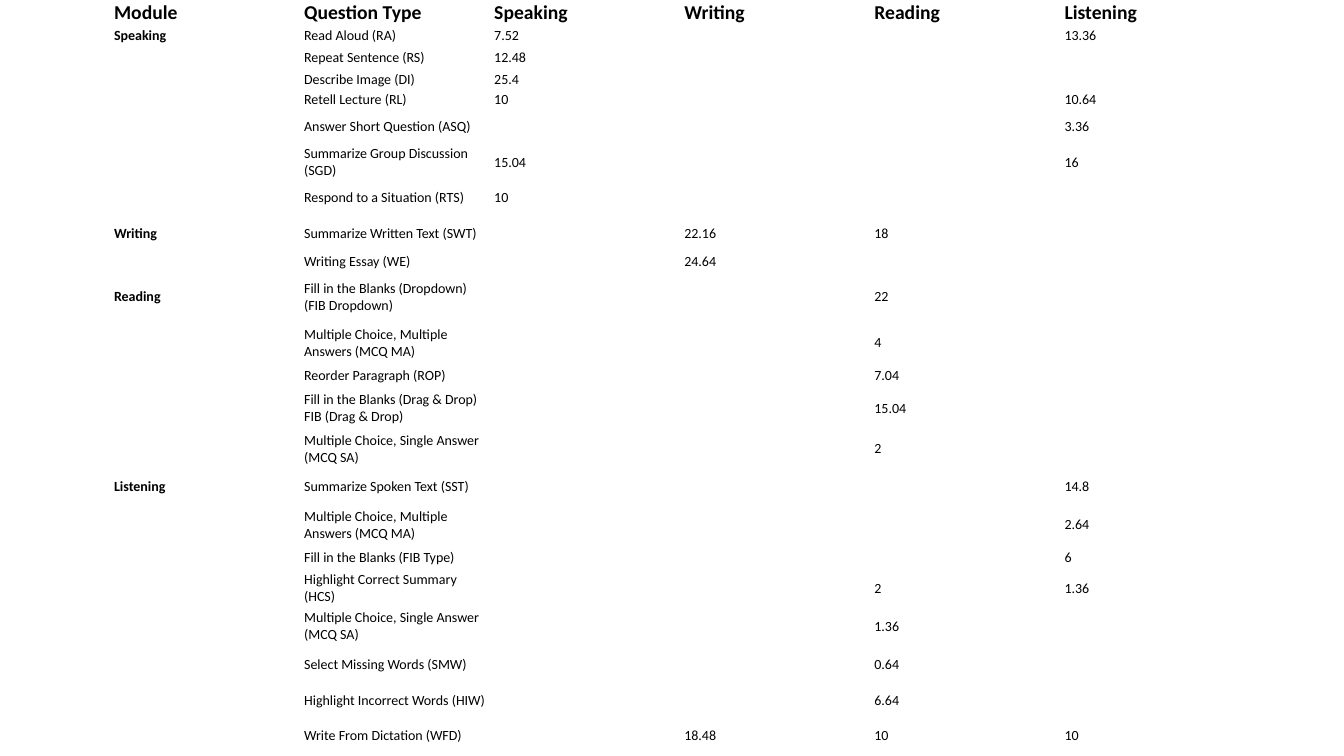
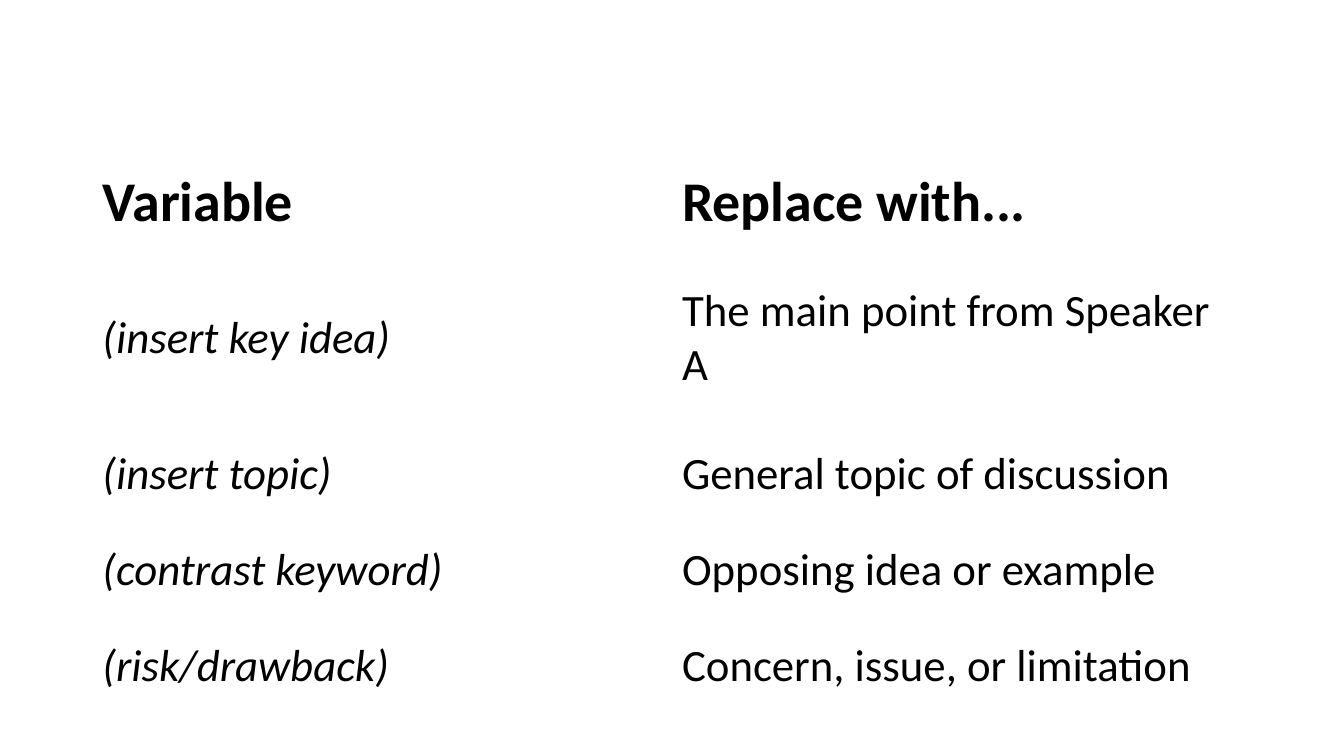
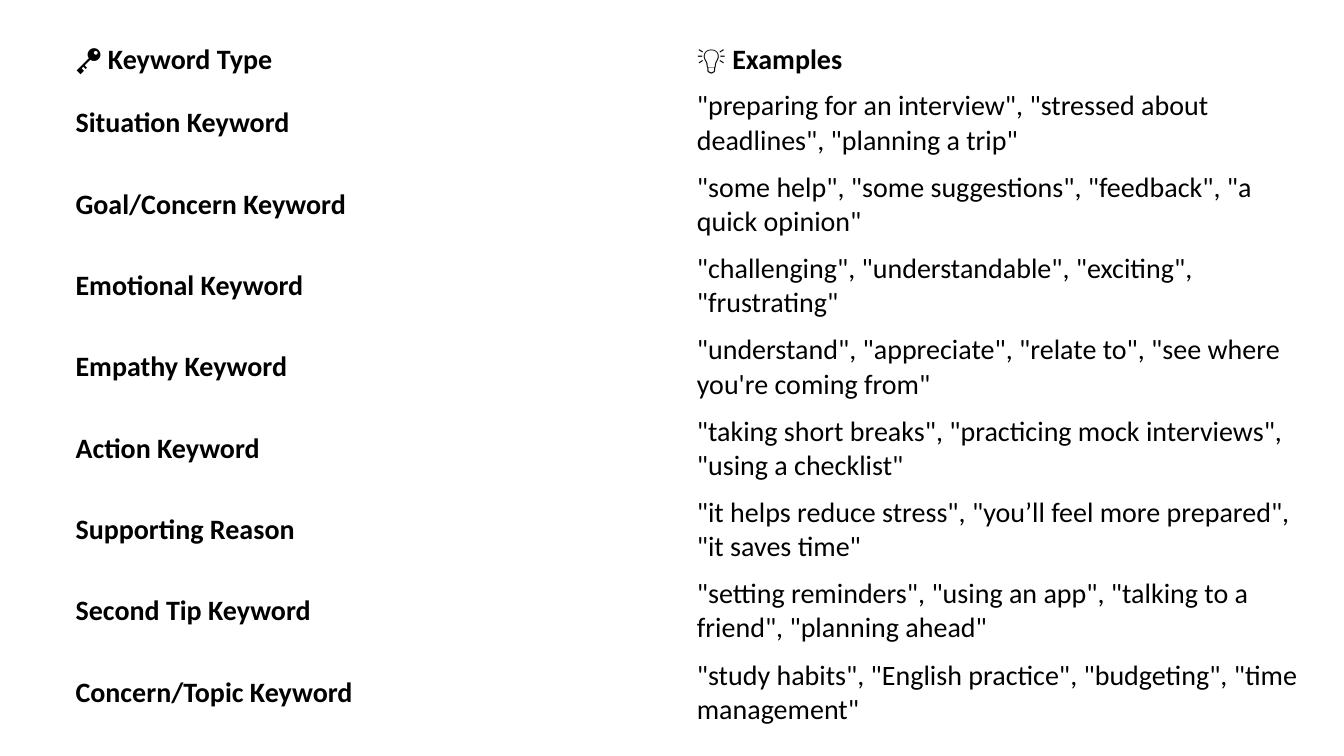
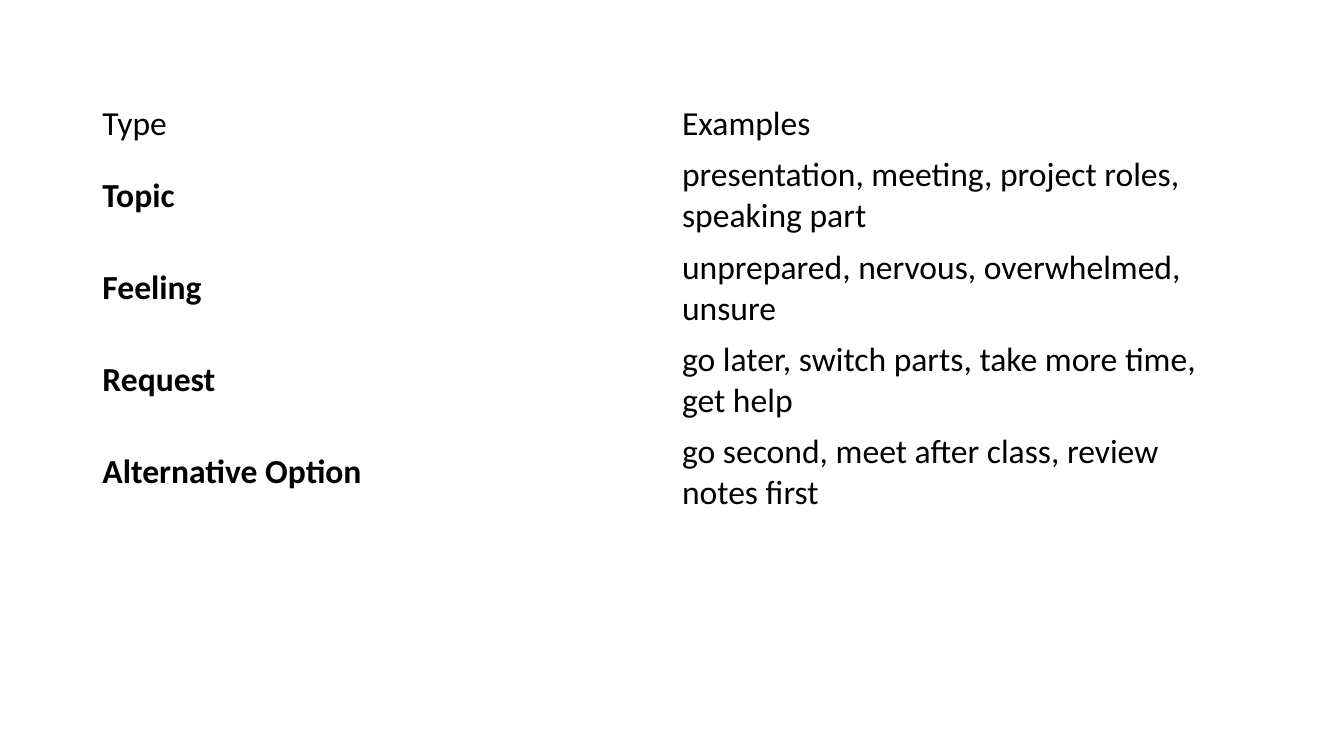
from dataclasses import dataclass

from lxml import etree
from pptx import Presentation
from pptx.dml.color import RGBColor
from pptx.enum.text import MSO_ANCHOR
from pptx.oxml.ns import qn
from pptx.util import Pt

MIDDLE = MSO_ANCHOR.MIDDLE


@dataclass(frozen=True)
class Theme:
    font: str = "Calibri"
    ink: RGBColor = RGBColor(0, 0, 0)
    score_header: int = 14
    score_body: int = 10
    variable_header: int = 40
    variable_body: int = 32
    keyword: int = 20
    request: int = 24


THEME = Theme()
PLAIN, BOLD, ITALIC = (False, False), (True, False), (False, True)
BLANK_LAYOUT = 6

SCORE_ROWS = [
    ("Module", "Question Type", "Speaking", "Writing", "Reading", "Listening"),
    ("Speaking", "Read Aloud (RA)", "7.52", "", "", "13.36"),
    ("", "Repeat Sentence (RS)", "12.48", "", "", ""),
    ("", "Describe Image (DI)", "25.4", "", "", ""),
    ("", "Retell Lecture (RL)", "10", "", "", "10.64"),
    ("", "Answer Short Question (ASQ)", "", "", "", "3.36"),
    ("", "Summarize Group Discussion (SGD)", "15.04", "", "", "16"),
    ("", "Respond to a Situation (RTS)", "10", "", "", ""),
    ("Writing", "Summarize Written Text (SWT)", "", "22.16", "18", ""),
    ("", "Writing Essay (WE)", "", "24.64", "", ""),
    ("Reading", "Fill in the Blanks (Dropdown) (FIB Dropdown)", "", "", "22", ""),
    ("", "Multiple Choice, Multiple Answers (MCQ MA)", "", "", "4", ""),
    ("", "Reorder Paragraph (ROP)", "", "", "7.04", ""),
    ("", "Fill in the Blanks (Drag & Drop) FIB (Drag & Drop)", "", "", "15.04", ""),
    ("", "Multiple Choice, Single Answer (MCQ SA)", "", "", "2", ""),
    ("Listening", "Summarize Spoken Text (SST)", "", "", "", "14.8"),
    ("", "Multiple Choice, Multiple Answers (MCQ MA)", "", "", "", "2.64"),
    ("", "Fill in the Blanks (FIB Type)", "", "", "", "6"),
    ("", "Highlight Correct Summary (HCS)", "", "", "2", "1.36"),
    ("", "Multiple Choice, Single Answer (MCQ SA)", "", "", "1.36", ""),
    ("", "Select Missing Words (SMW)", "", "", "0.64", ""),
    ("", "Highlight Incorrect Words (HIW)", "", "", "6.64", ""),
    ("", "Write From Dictation (WFD)", "", "18.48", "10", "10"),
]
SCORE_HEIGHTS = [
    18.7, 13.7, 18, 13.7, 13.7, 25.3, 25.9, 25.3, 25.9, 13.7, 36.7, 28.9,
    18, 28.9, 28.9, 25.3, 28.9, 18, 25.9, 28.9, 25.3, 25.9, 25.3,
]

VARIABLE_ROWS = [
    ("Variable", "Replace with..."),
    ("(insert key idea)", "The main point from Speaker A"),
    ("(insert topic)", "General topic of discussion"),
    ("(contrast keyword)", "Opposing idea or example"),
    ("(risk/drawback)", "Concern, issue, or limitation"),
]

KEYWORD_ROWS = [
    (("🔑 ", "Keyword Type"), ("💡 ", "Examples")),
    ("Situation Keyword", '"preparing for an interview", "stressed about deadlines", "planning a trip"'),
    ("Goal/Concern Keyword", '"some help", "some suggestions", "feedback", "a quick opinion"'),
    ("Emotional Keyword", '"challenging", "understandable", "exciting", "frustrating"'),
    ("Empathy Keyword", '"understand", "appreciate", "relate to", "see where you\'re coming from"'),
    ("Action Keyword", '"taking short breaks", "practicing mock interviews", "using a checklist"'),
    ("Supporting Reason", '"it helps reduce stress", "you’ll feel more prepared", "it saves time"'),
    ("Second Tip Keyword", '"setting reminders", "using an app", "talking to a friend", "planning ahead"'),
    ("Concern/Topic Keyword", '"study habits", "English practice", "budgeting", "time management"'),
]

REQUEST_ROWS = [
    ("Type", "Examples"),
    ("Topic", "presentation, meeting, project roles, speaking part"),
    ("Feeling", "unprepared, nervous, overwhelmed, unsure"),
    ("Request", "go later, switch parts, take more time, get help"),
    ("Alternative Option", "go second, meet after class, review notes first"),
]

TABLES = [
    dict(rows=SCORE_ROWS, heights=SCORE_HEIGHTS, left=80, top=0, column=135.8,
         insets=(1.5, 0.7), sizes=(THEME.score_header, THEME.score_body),
         header=BOLD, label=BOLD),
    dict(rows=VARIABLE_ROWS, heights=[68.4, 126] + [68.4] * 3, left=66, top=110.2,
         column=414, insets=(7.2, 3.6),
         sizes=(THEME.variable_header, THEME.variable_body),
         header=BOLD, label=ITALIC),
    dict(rows=KEYWORD_ROWS, heights=[33.1] + [58.1] * 8, left=48.2, top=26,
         column=443.8, insets=(5.8, 2.9), sizes=(THEME.keyword, THEME.keyword),
         header=BOLD, label=BOLD),
    dict(rows=REQUEST_ROWS, heights=[36.5] + [65.7] * 4, left=66, top=70.6,
         column=414, insets=(7.2, 3.6), sizes=(THEME.request, THEME.request),
         header=PLAIN, label=BOLD),
]


def fill_cell(cell, content, size, style, insets):
    cell.fill.background()
    cell.vertical_anchor = MIDDLE
    cell.margin_left = cell.margin_right = Pt(insets[0])
    cell.margin_top = cell.margin_bottom = Pt(insets[1])
    paragraph = cell.text_frame.paragraphs[0]
    font = paragraph.font
    font.name, font.size = THEME.font, Pt(size)
    font.color.rgb = THEME.ink
    if isinstance(content, tuple):
        icon, label = content
        paragraph.add_run().text = icon
        label_run = paragraph.add_run()
        label_run.text = label
        label_run.font.bold = style[0]
        return
    font.bold, font.italic = style
    if content:
        paragraph.add_run().text = content
    else:
        etree.SubElement(paragraph._p, qn("a:endParaRPr"), sz=str(size * 100))


def add_text_table(slide, rows, heights, left, top, column, insets, sizes, header, label):
    column_count = len(rows[0])
    table = slide.shapes.add_table(
        len(rows), column_count, Pt(left), Pt(top),
        Pt(column * column_count), Pt(sum(heights))).table
    table.first_row = table.horz_banding = False
    for table_column in table.columns:
        table_column.width = Pt(column)
    for row_index, (contents, height) in enumerate(zip(rows, heights)):
        table.rows[row_index].height = Pt(height)
        size = sizes[min(row_index, 1)]
        for column_index, content in enumerate(contents):
            style = header if row_index == 0 else label if column_index == 0 else PLAIN
            fill_cell(table.cell(row_index, column_index), content, size, style, insets)


def main():
    presentation = Presentation()
    presentation.slide_width, presentation.slide_height = Pt(960), Pt(540)
    layout = presentation.slide_layouts[BLANK_LAYOUT]
    for table_spec in TABLES:
        add_text_table(presentation.slides.add_slide(layout), **table_spec)
    presentation.save("out.pptx")


if __name__ == "__main__":
    main()
